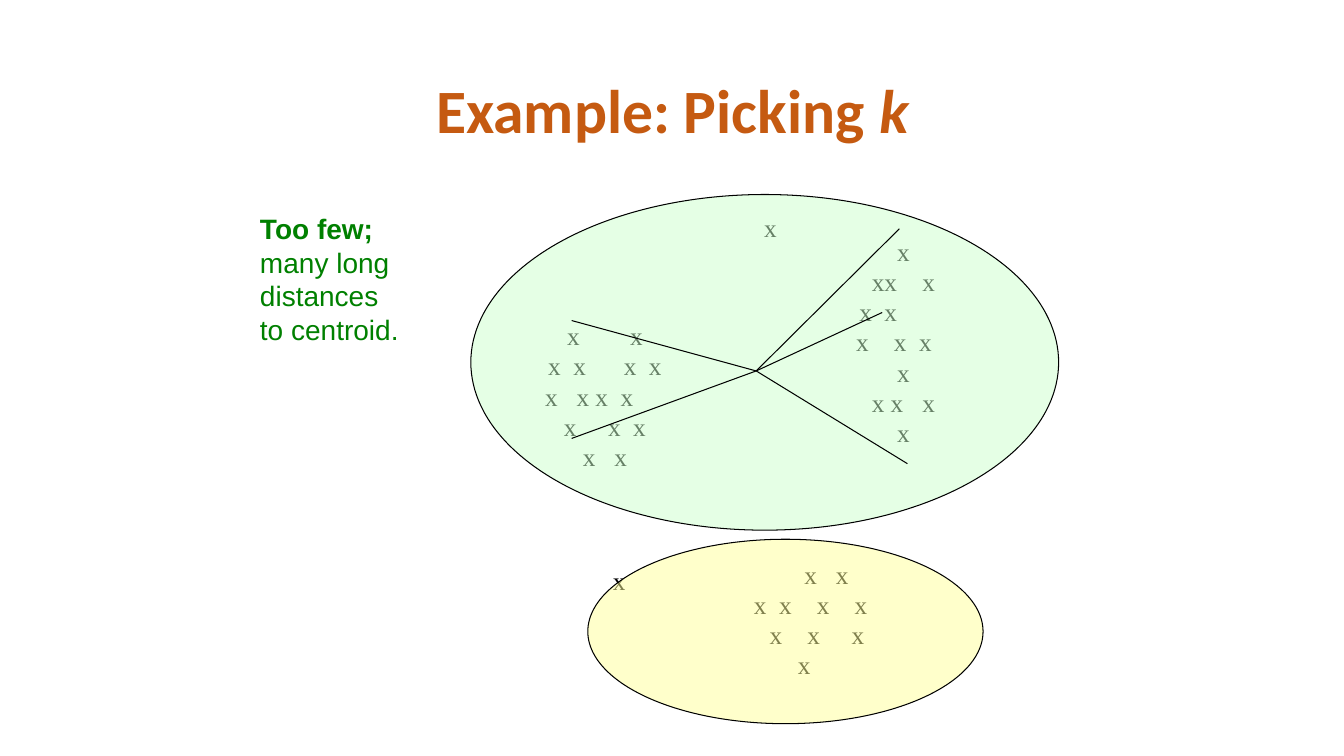
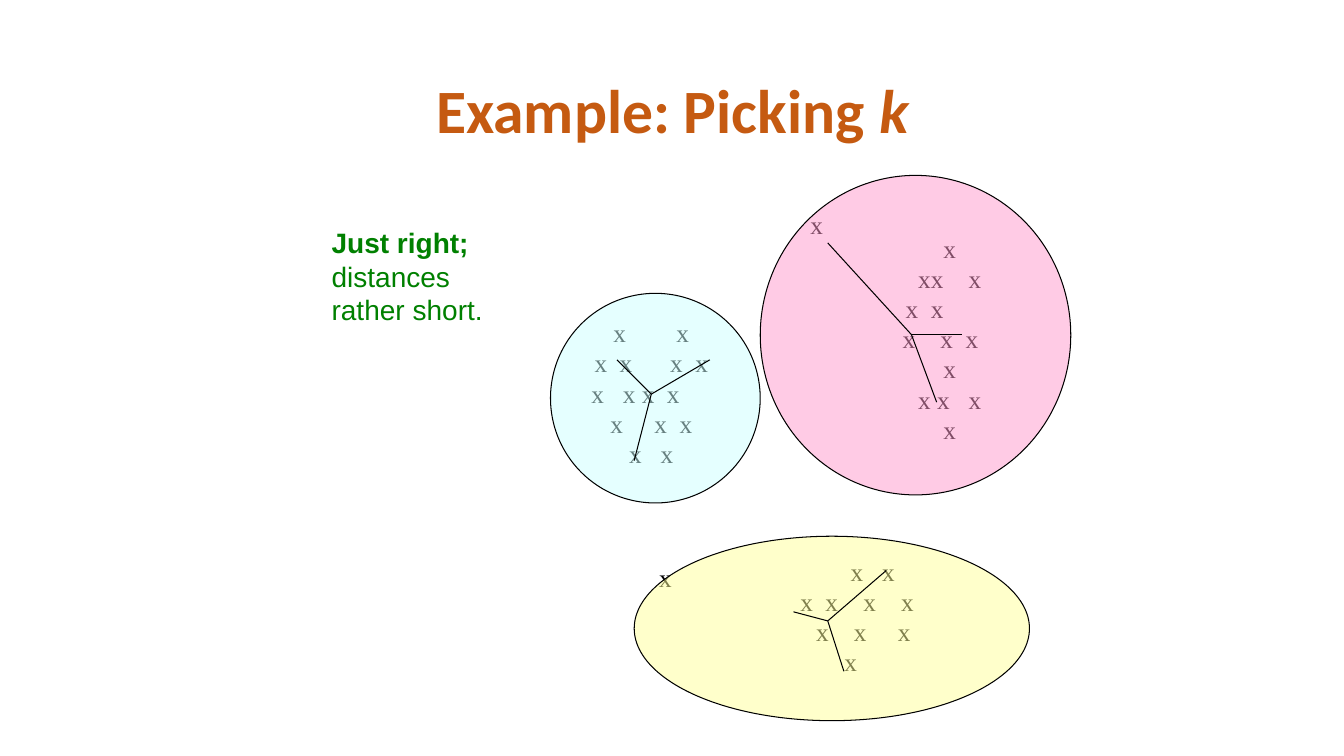
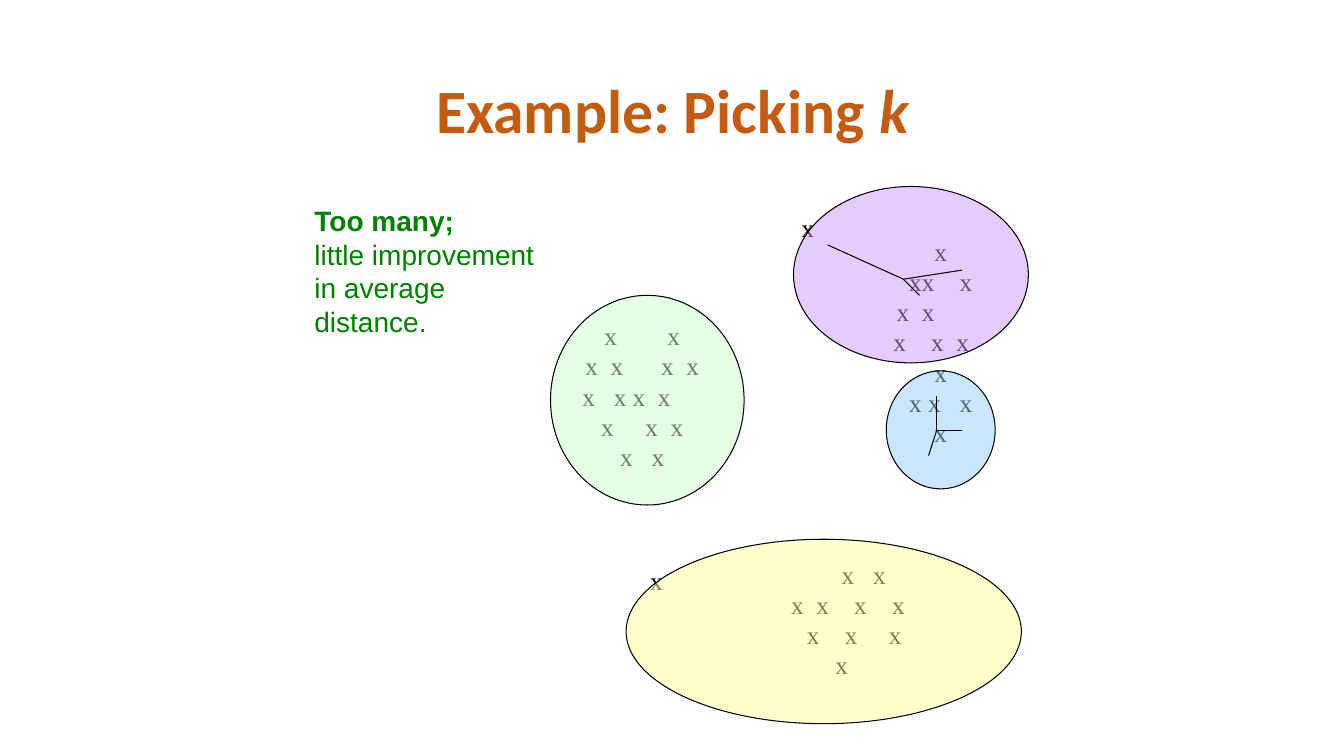
from pptx import Presentation
from pptx.dml.color import RGBColor
from pptx.enum.shapes import MSO_CONNECTOR, MSO_SHAPE
from pptx.enum.text import MSO_ANCHOR, PP_ALIGN
from pptx.oxml.ns import qn
from pptx.util import Inches, Pt
from lxml import etree

OVAL = MSO_SHAPE.OVAL
STRAIGHT = MSO_CONNECTOR.STRAIGHT
MIDDLE = MSO_ANCHOR.MIDDLE
LEFT, CENTER = PP_ALIGN.LEFT, PP_ALIGN.CENTER

BLACK = RGBColor(0x00, 0x00, 0x00)
ORANGE = RGBColor(0xC5, 0x5A, 0x11)
DARK_GREEN = RGBColor(0x00, 0x80, 0x00)
GREEN = RGBColor(0xCC, 0xFF, 0xCC)
YELLOW = RGBColor(0xFF, 0xFF, 0x99)
CYAN = RGBColor(0xCC, 0xFF, 0xFF)
PINK = RGBColor(0xFF, 0x99, 0xCC)
PURPLE = RGBColor(0xCC, 0x99, 0xFF)
BLUE = RGBColor(0x99, 0xCC, 0xFF)

TITLE_FONT = {"name": "Calibri", "size": Pt(44), "bold": True}
POINT_FONT = {"name": "Times New Roman", "size": Pt(18), "bold": False}
NOTE_FONT = {"name": "Arial", "size": Pt(20)}
LINE_HEIGHT = 1.2  # in font sizes
UNIT = 0.0625  # a quarter of the 18 pt point size: one blank, half an x

# Data points, the same on every slide apart from a shift.
# In a pattern, a blank is one unit wide and an x two.
POINT_CLOUDS = [
    ((5, 2.68, 2, 2.5),
     ["x        x", "x  x      x  x", "x   x x  x     ", "x     x  x", "x   x"]),
    ((8, 1.85, 1.92, 3.08),
     ["x", "xx    x", "x  x        ", "x    x  x   ", "x", "x x   x", "x"]),
    ((7, 5.27, 2.08, 1.75),
     ["     x   x", "x  x    x    x", "  x    x     x", "x  "]),
]
OUTLIERS = [(7.48, 2.06), (5.98, 5.56)]

SLIDES = [
    {
        "shift": (0, 0),
        "clusters": [(4.67, 1.93, 5.83, 3.33, GREEN), (5.83, 5.35, 3.92, 1.83, YELLOW)],
        "rays": {
            (7.5, 3.68): [(5.67, 3.18), (5.67, 4.35), (9, 4.6), (8.75, 3.1), (8.92, 2.27)],
        },
        "note_box": (2.48, 2.05, 1.59, 1.45),
        "note": ["Too few;", "many long", "distances", "to centroid."],
    },
    {
        "shift": (0.46, -0.03),
        "clusters": [(6.29, 5.32, 3.92, 1.83, YELLOW), (5.46, 2.91, 2.08, 2.08, CYAN),
                     (7.54, 1.74, 3.08, 3.17, PINK)],
        "rays": {
            (6.46, 3.91): [(6.12, 3.57), (7.04, 3.57), (6.29, 4.57)],
            (8.21, 6.16): [(7.87, 6.07), (8.79, 5.66), (8.37, 6.66)],
            (9.04, 3.32): [(8.21, 2.41), (9.54, 3.32), (9.29, 3.99)],
        },
        "note_box": (3.19, 2.19, 1.71, 1.11),
        "note": ["Just right;", "distances", "rather short."],
    },
    {
        "shift": (0.37, 0),
        "clusters": [(6.21, 5.35, 3.92, 1.83, YELLOW), (5.46, 2.93, 1.92, 2.08, GREEN),
                     (7.87, 1.85, 2.33, 1.75, PURPLE), (8.79, 3.68, 1.08, 1.17, BLUE)],
        "rays": {
            (8.96, 2.77): [(8.21, 2.43), (9.54, 2.68), (9.12, 2.93)],
            (9.29, 4.27): [(9.29, 3.93), (9.54, 4.27), (9.21, 4.52)],
        },
        "note_box": (3.02, 1.97, 2.4, 1.45),
        "note": ["Too many;", "little improvement", "in average", "distance."],
    },
]


def add_text(paragraph, text, font_values, color, **extra):
    run = paragraph.add_run()
    run.text = text
    for attribute, value in {**font_values, **extra}.items():
        setattr(run.font, attribute, value)
    run.font.color.rgb = color


def write_lines(frame, lines, font_values, color, bold_first=False):
    """Write one left-aligned paragraph per line, the first bold if asked."""
    for index, line in enumerate(lines):
        paragraph = frame.paragraphs[0] if index == 0 else frame.add_paragraph()
        paragraph.alignment = LEFT
        paragraph.line_spacing = Pt(round(font_values["size"].pt * LINE_HEIGHT, 1))
        add_text(paragraph, line, font_values, color, bold=bold_first and index == 0)


prs = Presentation()
prs.slide_width, prs.slide_height = Inches(13.33), Inches(7.5)
title_only = prs.slide_layouts[5]

for content in SLIDES:
    slide = prs.slides.add_slide(title_only)
    shapes = slide.shapes
    shift_x, shift_y = content["shift"]

    title = shapes.title
    title.left, title.top = Inches(0.92), Inches(0.4)
    title.width, title.height = Inches(11.5), Inches(1.45)
    title.text_frame.vertical_anchor = MIDDLE
    heading = title.text_frame.paragraphs[0]
    heading.alignment = CENTER
    heading.line_spacing = 0.9
    add_text(heading, "Example: Picking ", TITLE_FONT, ORANGE)
    add_text(heading, "k", TITLE_FONT, ORANGE, italic=True)

    for (left, top, width, height), patterns in POINT_CLOUDS:
        cloud = shapes.add_shape(OVAL, Inches(left + shift_x), Inches(top + shift_y),
                                 Inches(width), Inches(height))
        cloud.shadow.inherit = False
        cloud.fill.background()
        cloud.line.fill.background()
        frame = cloud.text_frame
        frame.word_wrap = True
        frame.vertical_anchor = MIDDLE
        frame.margin_left = frame.margin_right = frame.margin_top = frame.margin_bottom = 0

        # A single blank stays a blank; a tab stop bridges any wider gap.
        middle = width * 0.5 ** 0.5 / 2  # of the text area inside the oval
        rows, row_stops = [], []
        for pattern in patterns:
            start = middle - (len(pattern) + pattern.count("x")) * UNIT / 2
            row, stops = "", []
            for column, mark in enumerate(pattern):
                if mark == "x":
                    before = pattern[:column]
                    if before.endswith("x "):
                        row += " "
                    elif not before.endswith("x"):
                        row += "\t"
                        stops.append(start + (column + before.count("x")) * UNIT)
                    row += mark
            rows.append(row)
            row_stops.append(stops)
        write_lines(frame, rows, POINT_FONT, BLACK)
        for paragraph, stops in zip(frame.paragraphs, row_stops):
            tab_list = etree.SubElement(paragraph._p.get_or_add_pPr(), qn("a:tabLst"))
            for stop in stops:
                etree.SubElement(tab_list, qn("a:tab"), pos=str(Inches(stop)), algn="l")

    for left, top in OUTLIERS:
        outlier = shapes.add_textbox(Inches(left + shift_x), Inches(top + shift_y),
                                     Inches(0.37), Inches(0.5))
        write_lines(outlier.text_frame, ["x"], POINT_FONT, BLACK)

    for left, top, width, height, color in content["clusters"]:
        cluster = shapes.add_shape(OVAL, Inches(left), Inches(top), Inches(width), Inches(height))
        cluster.shadow.inherit = False
        cluster.fill.solid()
        cluster.fill.fore_color.rgb = color
        fill_color = cluster._element.spPr.find(qn("a:solidFill")).find(qn("a:srgbClr"))
        etree.SubElement(fill_color, qn("a:alpha"), val="50000")
        cluster.line.color.rgb = BLACK
        cluster.line.width = Pt(0.75)

    for (center_x, center_y), ends in content["rays"].items():
        for end_x, end_y in ends:
            ray = shapes.add_connector(STRAIGHT, Inches(center_x), Inches(center_y),
                                       Inches(end_x), Inches(end_y))
            ray.line.color.rgb = BLACK
            ray.line.width = Pt(0.75)
            etree.SubElement(ray._element.spPr, qn("a:effectLst"))

    note = shapes.add_textbox(*map(Inches, content["note_box"]))
    write_lines(note.text_frame, content["note"], NOTE_FONT, DARK_GREEN, bold_first=True)

prs.save("out.pptx")
